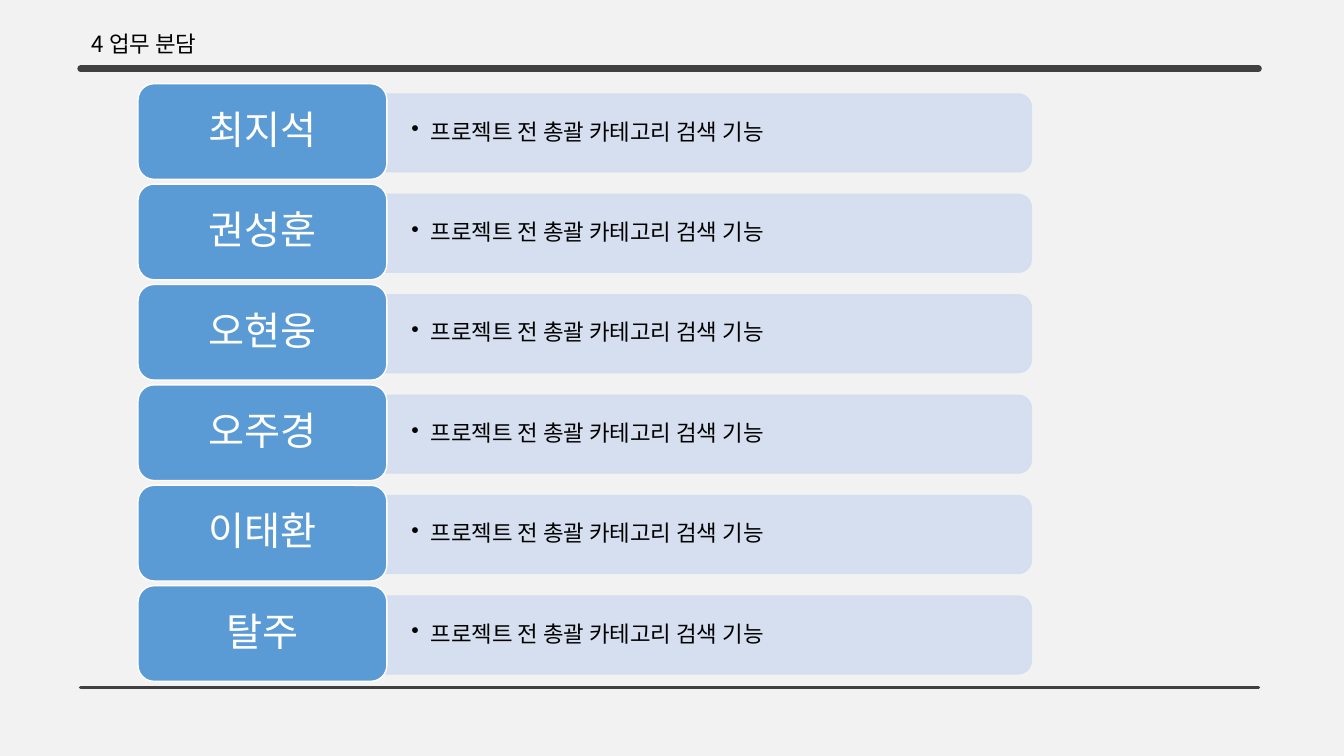
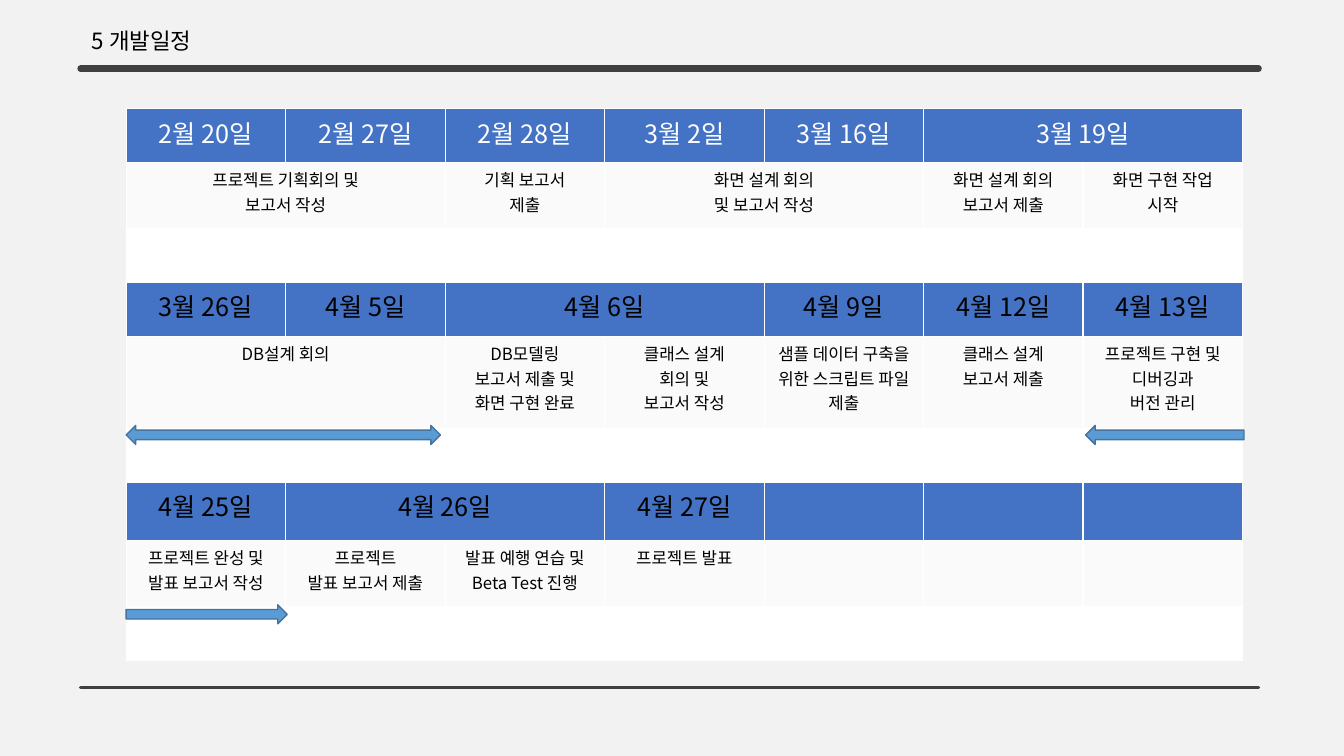
import pptx
import pptx.util
import pptx.dml.color
import pptx.enum.shapes
import pptx.enum.text
import pptx.oxml.ns
import lxml.etree

Cm = pptx.util.Cm
Pt = pptx.util.Pt
RGBColor = pptx.dml.color.RGBColor
Shape = pptx.enum.shapes.MSO_SHAPE
Align = pptx.enum.text.PP_ALIGN
Anchor = pptx.enum.text.MSO_ANCHOR
qn = pptx.oxml.ns.qn

BACKGROUND = RGBColor(0xF2, 0xF2, 0xF2)
RULE = RGBColor(0x40, 0x40, 0x40)
BLACK = RGBColor(0x00, 0x00, 0x00)
WHITE = RGBColor(0xFF, 0xFF, 0xFF)
BLUE = RGBColor(0x5B, 0x9B, 0xD5)
DARK_BLUE = RGBColor(0x43, 0x73, 0x9E)
PALE_BLUE = RGBColor(0xD2, 0xDE, 0xEF)
HEADER = RGBColor(0x44, 0x72, 0xC4)
CELL = RGBColor(0xFA, 0xFA, 0xFA)

MEMBERS = ["최지석", "권성훈", "오현웅", "오주경", "이태환", "탈주"]
DUTY = "프로젝트 전 총괄 카테고리 검색 기능"

GAP = (1.35, WHITE, BLACK, 12, [("", 1)] * 7)
SCHEDULE = [
    (1.35, HEADER, WHITE, 18, [
        ("2월 20일", 1), ("2월 27일", 1), ("2월 28일", 1), ("3월 2일", 1),
        ("3월 16일", 1), ("3월 19일", 2)]),
    (1.68, CELL, BLACK, 12, [
        ("프로젝트 기획회의 및\n보고서 작성", 2), ("기획 보고서\n제출", 1),
        ("화면 설계 회의\n및 보고서 작성", 2), ("화면 설계 회의 보고서 제출", 1),
        ("화면 구현 작업\n시작", 1)]),
    GAP,
    (1.35, HEADER, BLACK, 18, [
        ("3월 26일", 1), ("4월 5일", 1), ("4월 6일", 2), ("4월 9일", 1),
        ("4월 12일", 1), ("4월 13일", 1)]),
    (2.34, CELL, BLACK, 12, [
        ("DB설계 회의", 2), ("DB모델링\n보고서 제출 및\n화면 구현 완료", 1),
        ("클래스 설계\n회의 및\n보고서 작성", 1),
        ("샘플 데이터 구축을 위한 스크립트 파일 제출", 1),
        ("클래스 설계\n보고서 제출", 1),
        ("프로젝트 구현 및\n디버깅과\n버전 관리", 1)]),
    GAP,
    (1.45, HEADER, BLACK, 18, [
        ("4월 25일", 1), ("4월 26일", 2), ("4월 27일", 1)] + [("", 1)] * 3),
    (1.68, CELL, BLACK, 12, [
        ("프로젝트 완성 및\n발표 보고서 작성", 1), ("프로젝트\n발표 보고서 제출", 1),
        ("발표 예행 연습 및\nBeta Test 진행", 1), ("프로젝트 발표", 1)]
        + [("", 1)] * 3),
    GAP,
]


class Deck:
    font = "Noto Sans CJK KR"

    def __init__(self):
        self.presentation = pptx.Presentation()
        self.presentation.slide_width = Cm(33.87)
        self.presentation.slide_height = Cm(19.05)
        self.slide = None

    def start_slide(self, title, top):
        self.slide = self.presentation.slides.add_slide(self.presentation.slide_layouts[6])
        fill = self.slide.background.fill
        fill.solid()
        fill.fore_color.rgb = BACKGROUND
        self.rule(1.73, 4.5)
        self.rule(17.32, 2.25)
        self.text_box(2.06, top, 3.5, 0.94, title).word_wrap = False

    def rule(self, top, weight):
        connector = self.slide.shapes.add_connector(
            pptx.enum.shapes.MSO_CONNECTOR.STRAIGHT, Cm(2.03), Cm(top), Cm(31.72), Cm(top))
        connector.line.color.rgb = RULE
        connector.line.width = Pt(weight)
        properties = connector._element.spPr
        properties.find(qn("a:ln")).set("cap", "rnd")
        lxml.etree.SubElement(properties, qn("a:effectLst"))

    def add_text(self, frame, text, size, color, align=Align.LEFT):
        for index, line in enumerate(text.split("\n")):
            paragraph = frame.add_paragraph() if index else frame.paragraphs[0]
            paragraph.alignment = align
            run = paragraph.add_run()
            run.text = line
            run.font.name = self.font
            run.font.size = Pt(size)
            run.font.color.rgb = color
            east_asian = lxml.etree.SubElement(run.font._element, qn("a:ea"))
            east_asian.set("typeface", self.font)

    def text_box(self, left, top, width, height, text):
        frame = self.slide.shapes.add_textbox(
            Cm(left), Cm(top), Cm(width), Cm(height)).text_frame
        frame.word_wrap = True
        self.add_text(frame, text, 16, BLACK)
        return frame

    def bullet(self, left, top, width, height, text):
        frame = self.text_box(left, top, width, height, text)
        frame.vertical_anchor = Anchor.MIDDLE
        frame.margin_left = frame.margin_right = Cm(0.69)
        paragraph = frame.paragraphs[0]
        paragraph.line_spacing = 0.9
        properties = paragraph._p.get_or_add_pPr()
        properties.set("marL", str(Cm(0.48)))
        properties.set("indent", str(-Cm(0.48)))
        lxml.etree.SubElement(properties, qn("a:buChar")).set("char", "•")

    def shape(self, kind, left, top, width, height, fill, line):
        shape = self.slide.shapes.add_shape(kind, Cm(left), Cm(top), Cm(width), Cm(height))
        shape.shadow.inherit = False
        shape.fill.solid()
        shape.fill.fore_color.rgb = fill
        shape.line.color.rgb = line
        shape.line.width = Pt(1)
        return shape

    def bar(self, left, top, width, height):
        shape = self.shape(
            Shape.ROUND_2_SAME_RECTANGLE, left + (width - height) / 2,
            top + (height - width) / 2, height, width, PALE_BLUE, PALE_BLUE)
        shape.rotation = 90
        for color in shape._element.spPr.findall(".//" + qn("a:srgbClr")):
            lxml.etree.SubElement(color, qn("a:alpha")).set("val", "90000")

    def name_card(self, left, top, width, height, name):
        shape = self.shape(Shape.ROUNDED_RECTANGLE, left, top, width, height, BLUE, WHITE)
        frame = shape.text_frame
        frame.vertical_anchor = Anchor.MIDDLE
        self.add_text(frame, name, 28, WHITE, Align.CENTER)
        frame.paragraphs[0].line_spacing = 0.9

    def borders(self, cell):
        properties = cell._tc.get_or_add_tcPr()
        for index, side in enumerate(("a:lnL", "a:lnR", "a:lnT", "a:lnB")):
            border = lxml.etree.Element(qn(side), w=str(Pt(1)))
            fill = lxml.etree.SubElement(border, qn("a:solidFill"))
            lxml.etree.SubElement(fill, qn("a:srgbClr")).set("val", str(WHITE))
            properties.insert(index, border)

    def schedule(self, left, top, column_width, rows):
        count = sum(span for _, span in rows[0][-1])
        table = self.slide.shapes.add_table(
            len(rows), count, Cm(left), Cm(top), Cm(column_width * count),
            Cm(sum(row[0] for row in rows))).table
        table.first_row = False
        table.horz_banding = False
        for column in table.columns:
            column.width = Cm(column_width)
        for index, (height, fill, color, size, entries) in enumerate(rows):
            table.rows[index].height = Cm(height)
            for cell in table.rows[index].cells:
                cell.fill.solid()
                cell.fill.fore_color.rgb = fill
                self.borders(cell)
            position = 0
            for text, span in entries:
                cell = table.cell(index, position)
                if span > 1:
                    cell.merge(table.cell(index, position + span - 1))
                if text:
                    self.add_text(cell.text_frame, text, size, color, Align.CENTER)
                position += span

    def arrow(self, kind, left, top, width):
        self.shape(kind, left, top, width, 0.48, BLUE, DARK_BLUE)


def main():
    deck = Deck()
    deck.start_slide("4 업무 분담", 0.64)
    for index, member in enumerate(MEMBERS):
        top = 2.11 + 2.53 * index
        deck.bar(9.68, top + 0.26, 16.31, 1.96)
        deck.bullet(9.68, top + 0.35, 16.2, 1.78, DUTY)
        deck.name_card(3.48, top, 6.27, 2.41, member)

    deck.start_slide("5 개발일정", 0.56)
    deck.schedule(3.18, 2.74, 4.02, SCHEDULE)
    deck.arrow(Shape.LEFT_RIGHT_ARROW, 3.18, 10.72, 7.92)
    deck.arrow(Shape.RIGHT_ARROW, 3.18, 15.24, 4.06)
    deck.arrow(Shape.LEFT_ARROW, 27.36, 10.72, 3.99)
    deck.presentation.save("out.pptx")


if __name__ == "__main__":
    main()
